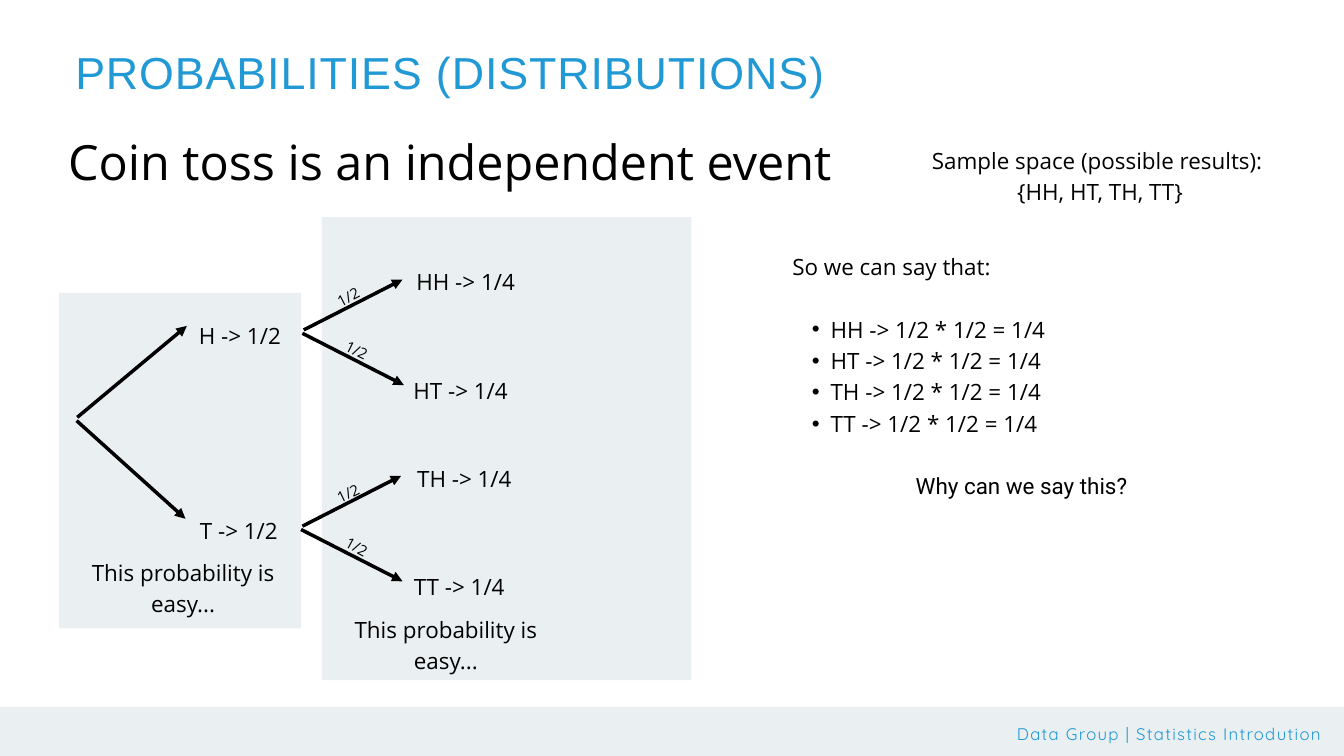
from lxml.etree import SubElement
from pptx import Presentation
from pptx.dml.color import RGBColor as RGB
from pptx.enum.shapes import MSO_CONNECTOR as LINE, MSO_SHAPE as SHAPE
from pptx.enum.text import MSO_ANCHOR as ANCHOR, MSO_AUTO_SIZE as AUTO, PP_ALIGN as ALIGN
from pptx.oxml.ns import qn
from pptx.util import Inches, Pt

COLORS = {"blue": "2199D4", "panel": "EAF0F1", "ink": "000000"}
BODY = "Open Sans"


def place(shape, left, top, width, height):
    shape.left, shape.top = Inches(left), Inches(top)
    shape.width, shape.height = Inches(width), Inches(height)


def set_frame(frame):
    frame.auto_size = AUTO.NONE
    frame.word_wrap = True
    frame.vertical_anchor = ANCHOR.TOP
    frame.margin_left = frame.margin_right = 0
    frame.margin_top = frame.margin_bottom = 0


def style(par, size=24, font=BODY, color="ink", align=ALIGN.CENTER, lead=1.4, track=0):
    par.alignment = align
    par.line_spacing = Pt(size * lead)
    par.space_before = Pt(0)
    for run in par.runs:
        run.font.size = Pt(size)
        run.font.name = font
        run.font.color.rgb = RGB.from_string(COLORS[color])
        if track:
            run.font._element.set("spc", str(track))


def add_text(slide, box, lines, turn=0, **look):
    shape = slide.shapes.add_textbox(0, 0, 0, 0)
    place(shape, *box)
    shape.rotation = turn
    frame = shape.text_frame
    set_frame(frame)
    frame.text = lines
    for par in frame.paragraphs:
        style(par, **look)
    return frame


def add_panel(slide, *box):
    shape = slide.shapes.add_shape(SHAPE.RECTANGLE, 0, 0, 0, 0)
    place(shape, *box)
    shape.shadow.inherit = False
    shape.fill.solid()
    shape.fill.fore_color.rgb = RGB.from_string(COLORS["panel"])
    shape.line.fill.background()


def add_arrow(slide, *ends):
    arrow = slide.shapes.add_connector(LINE.STRAIGHT, *[Inches(v) for v in ends])
    arrow.line.width = Pt(3.75)
    arrow.line.color.rgb = RGB.from_string(COLORS["ink"])
    SubElement(arrow.line._ln, qn("a:tailEnd"), type="triangle")
    SubElement(arrow._element.spPr, qn("a:effectLst"))


def add_bullet(par):
    props = par._p.get_or_add_pPr()
    props.set("marL", str(Inches(0.57)))
    props.set("indent", str(-Inches(0.28)))
    SubElement(props, qn("a:buFont"), typeface="Arial")
    SubElement(props, qn("a:buChar"), char="•")


def add_fork(slide, left, top, upper, lower, turns):
    """Second toss: two arrows with their odds and outcomes."""
    add_arrow(slide, left, top, left + 1.47, top - 0.75)
    add_arrow(slide, left - 0.02, top + 0.05, left + 1.49, top + 0.82)
    add_text(slide, (left + 1.61, top - 0.98, 1.6, 0.43), upper)
    add_text(slide, (left + 1.61, top + 0.63, 1.45, 0.43), lower)
    for x, y, turn in zip((4.44, 4.6), (top - 0.67, top + 0.13), turns):
        add_text(slide, (x, y, 1.45, 0.29), "1/2", turn, size=16)


def add_proof(slide):
    sums = [f"{pair} -> 1/2 * 1/2 = 1/4" for pair in ("HH", "HT", "TH", "TT")]
    lines = ["So we can say that:", *sums, "Why can we say this?"]
    frame = add_text(slide, (11.79, 3.7, 6.82, 3.64), "\n".join(lines), align=ALIGN.LEFT)
    pars = frame.paragraphs
    for par in pars[1:-1]:
        add_bullet(par)
    style(pars[-1], font="Roboto")
    # One line of air around the list
    for par in (pars[1], pars[-1]):
        par.space_before = Pt(33.6)


def main():
    deck = Presentation()
    deck.slide_width, deck.slide_height = Inches(20), Inches(11.25)
    slide = deck.slides.add_slide(deck.slide_layouts[5])

    # Title and heading
    title = slide.shapes.title
    place(title, 1.12, 0.67, 12.97, 0.79)
    set_frame(title.text_frame)
    title.text_frame.text = "PROBABILITIES (DISTRIBUTIONS)"
    style(title.text_frame.paragraphs[0], 48, "Arial", "blue", ALIGN.LEFT, 1.2, 100)
    add_text(slide, (0, 1.82, 13.39, 0.97), "Coin toss is an independent event", size=52)

    # Footer
    add_panel(slide, 0, 10.52, 20, 0.73)
    add_text(slide, (7.35, 10.72, 12.31, 0.33), "Data Group | Statistics Introdution",
             size=18, font="Quicksand", color="blue", align=ALIGN.RIGHT, track=140)

    # First toss
    add_panel(slide, 0.88, 4.36, 3.6, 4.99)
    add_arrow(slide, 1.15, 6.21, 2.78, 4.85)
    add_arrow(slide, 1.14, 6.26, 2.76, 7.72)
    add_text(slide, (2.77, 4.72, 1.6, 0.43), "H -> 1/2")
    add_text(slide, (2.83, 7.63, 1.45, 0.43), "T -> 1/2")

    # Second toss
    add_panel(slide, 4.79, 3.23, 5.5, 6.89)
    add_fork(slide, 4.52, 4.91, "HH -> 1/4", "HT -> 1/4", (332.5, 26.3))
    add_fork(slide, 4.5, 7.83, "TH -> 1/4", "TT -> 1/4", (334.4, 28.4))

    # Remarks under both tosses
    for left, top in ((1.12, 8.25), (5.03, 9.1)):
        add_text(slide, (left, top, 3.21, 0.89), "This probability is easy...")

    # Sample space and reasoning
    add_text(slide, (12.96, 2.12, 6.82, 0.89),
             "Sample space (possible results): \n{HH, HT, TH, TT}")
    add_proof(slide)

    deck.save("out.pptx")


if __name__ == "__main__":
    main()
